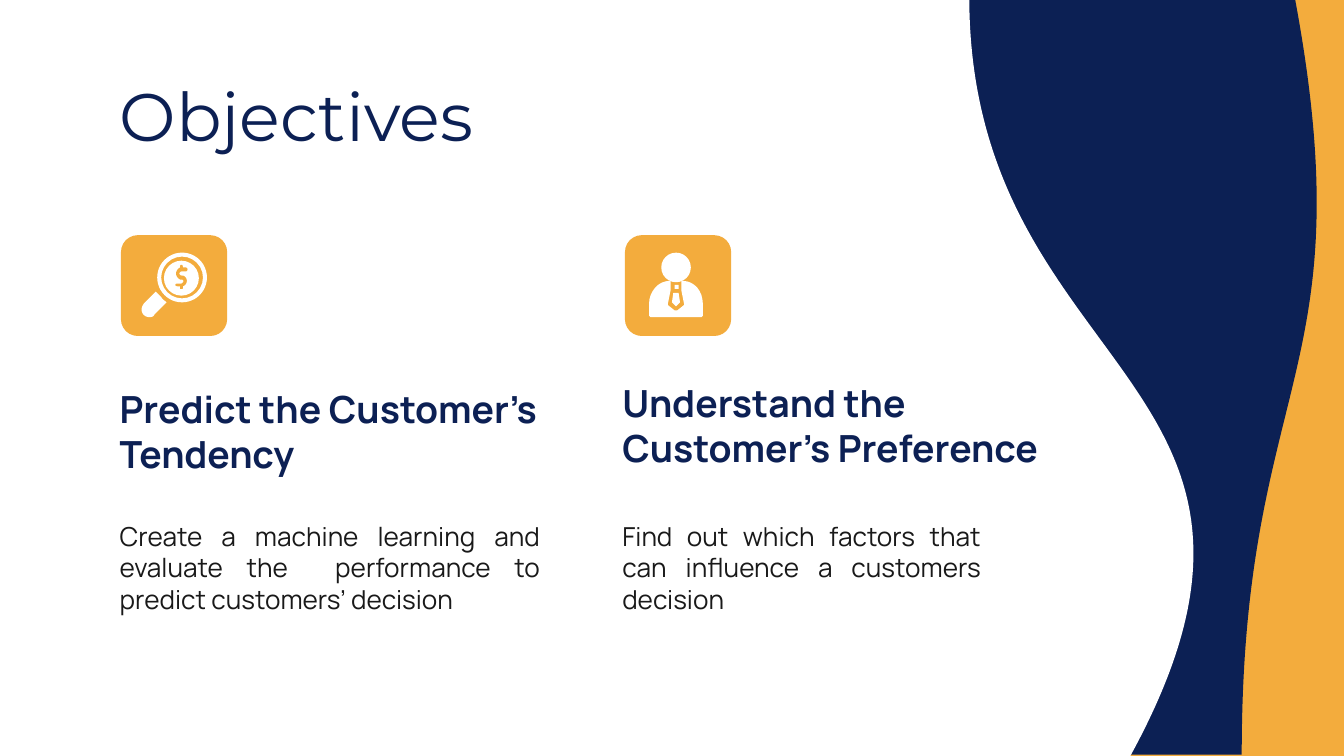
from lxml.etree import SubElement
from pptx import Presentation
from pptx.dml.color import RGBColor as RGB
from pptx.enum.shapes import MSO_SHAPE as Shape
from pptx.enum.text import MSO_ANCHOR as Anchor, MSO_AUTO_SIZE as Fit, PP_ALIGN as Align
from pptx.oxml.ns import qn
from pptx.util import Inches, Pt

HUES = {"navy": "0C2054", "amber": "F3AC3D", "white": "FFFFFF", "ink": "191919"}
GRAIN = 1000  # outline units to the inch

# Outlines: a pair of numbers is a corner, six numbers are a Bezier curve.
BODY = [(4.98, 2.09), (4.9, 2.09, 4.83, 2.17, 4.83, 2.26), (4.83, 2.35),
        (4.84, 2.36), (5.22, 2.36), (5.23, 2.35), (5.23, 2.26),
        (5.23, 2.17, 5.17, 2.09, 5.08, 2.09), (5.07, 2.09), (5.07, 2.16),
        (5.09, 2.26), (5.09, 2.27), (5.04, 2.31), (5.02, 2.31), (4.97, 2.27),
        (4.97, 2.26), (4.99, 2.16), (4.99, 2.09)]
TIE = [(5.01, 2.18), (5, 2.25), (5.03, 2.28), (5.06, 2.25), (5.05, 2.18)]
HANDLE = [(1.16, 2.17), (1.07, 2.26), (1.03, 2.31, 1.07, 2.36, 1.11, 2.36),
          (1.12, 2.36, 1.14, 2.36, 1.15, 2.34), (1.24, 2.25),
          (1.23, 2.24, 1.21, 2.23, 1.2, 2.21), (1.19, 2.2, 1.17, 2.18, 1.16, 2.17)]
DOLLAR = [(1.35, 1.97), (1.36, 1.97, 1.36, 1.98, 1.36, 1.99), (1.38, 1.99),
          (1.4, 1.99, 1.4, 2.02, 1.38, 2.02), (1.35, 2.02),
          (1.33, 2.02, 1.33, 2.05, 1.35, 2.05), (1.36, 2.05),
          (1.4, 2.06, 1.4, 2.12, 1.36, 2.13), (1.36, 2.14),
          (1.36, 2.15, 1.36, 2.15, 1.35, 2.15), (1.34, 2.15, 1.34, 2.15, 1.34, 2.14),
          (1.34, 2.13), (1.32, 2.13), (1.3, 2.13, 1.3, 2.11, 1.32, 2.11), (1.35, 2.11),
          (1.37, 2.1, 1.37, 2.08, 1.35, 2.08), (1.34, 2.08),
          (1.3, 2.06, 1.3, 2.01, 1.34, 1.99), (1.34, 1.98, 1.34, 1.97, 1.35, 1.97)]


def paint(shape, hue):
    shape.shadow.inherit = False
    shape.fill.solid()
    shape.fill.fore_color.rgb = RGB.from_string(HUES[hue])
    shape.line.fill.background()


def add_shape(slide, kind, box, hue):
    shape = slide.shapes.add_shape(kind, *map(Inches, box))
    paint(shape, hue)
    return shape


def add_wave(slide, box, hue, layer, flip=False):
    """Add a sideways wave and put it behind the text."""
    wave = add_shape(slide, Shape.FLOWCHART_DOCUMENT, box, hue)
    wave.rotation = 270
    if flip:
        wave.element.spPr.find(qn("a:xfrm")).set("flipH", "1")
    slide.shapes._spTree.insert(2 + layer, wave.element)


def flatten(steps, count=8):
    """Turn corners and Bezier curves into a list of points."""
    points = []
    for step in steps:
        if len(step) == 2:
            points.append(step)
            continue
        start, ctrl = points[-1], (step[:2], step[2:4], step[4:])
        for i in range(1, count + 1):
            t = i / count
            u = 1 - t
            mix = (u ** 3, 3 * u * u * t, 3 * u * t * t, t ** 3)
            points.append(tuple(sum(m * p[k] for m, p in zip(mix, (start, *ctrl)))
                                for k in (0, 1)))
    return points


def add_outline(slide, steps, hue):
    first, *rest = [(round(x * GRAIN), round(y * GRAIN)) for x, y in flatten(steps)]
    form = slide.shapes.build_freeform(*first, scale=Inches(1) / GRAIN)
    form.add_line_segments(rest, close=True)
    paint(form.convert_to_shape(), hue)


def add_tile(slide, left):
    add_shape(slide, Shape.ROUNDED_RECTANGLE, (left, 1.75, 0.79, 0.75), "amber")


def add_lens(slide):
    add_tile(slide, 0.9)
    ring = add_shape(slide, Shape.DONUT, (1.17, 1.88, 0.37, 0.37), "white")
    ring.adjustments[0] = 0.08
    add_outline(slide, HANDLE, "white")
    add_shape(slide, Shape.OVAL, (1.22, 1.94, 0.26, 0.26), "white")
    add_outline(slide, DOLLAR, "amber")


def add_person(slide):
    add_tile(slide, 4.65)
    add_shape(slide, Shape.OVAL, (4.92, 1.88, 0.22, 0.22), "white")
    add_outline(slide, BODY, "white")
    add_outline(slide, TIE, "white")
    add_shape(slide, Shape.RECTANGLE, (5.02, 2.12, 0.03, 0.03), "white")


def fill_text(holder, box, text, size, face, hue,
              bold=False, align=Align.LEFT, anchor=Anchor.MIDDLE):
    holder.left, holder.top, holder.width, holder.height = map(Inches, box)
    frame = holder.text_frame
    frame.text = text
    frame.word_wrap, frame.auto_size = True, Fit.NONE
    frame.vertical_anchor = anchor
    frame.margin_left = frame.margin_right = Inches(0.1)
    frame.margin_top = frame.margin_bottom = Inches(0.1)
    para = frame.paragraphs[0]
    para.alignment, para.space_before = align, Pt(0)
    props = para._p.get_or_add_pPr()
    props.set("marL", "0")
    props.set("indent", "0")
    SubElement(props, qn("a:buNone"))
    font = para.runs[0].font
    font.size, font.name, font.bold = Pt(size), face, bold
    font.color.rgb = RGB.from_string(HUES[hue])


def main():
    deck = Presentation()
    deck.slide_width, deck.slide_height = Inches(10), Inches(10) * 9 // 16
    slide = deck.slides.add_slide(deck.slide_layouts.get_by_name("Comparison"))
    back = slide.background.fill
    back.solid()
    back.fore_color.rgb = RGB.from_string(HUES["amber"])
    add_wave(slide, (5.52, 1.3, 5.62, 3.01), "navy", 0, flip=True)
    add_wave(slide, (1.66, -1.69, 5.67, 9), "white", 1)

    fill_text(slide.shapes.title, (0.79, 0.59, 6.34, 0.53), "Objectives",
              36, "Montserrat", "navy")
    goals = [
        (0.79, "Predict the Customer’s Tendency", 3.67, 0.88,
         "Create a machine learning and evaluate the  performance to "
         "predict customers’ decision", 3.33),
        (4.53, "Understand the Customer’s Preference", 3.58, 0.78,
         "Find out which factors that can influence a customers decision", 2.87),
    ]
    slots = {item.placeholder_format.idx: item for item in slide.placeholders}
    for i, (left, head, wide, high, body, span) in enumerate(goals):
        fill_text(slots[2 * i + 1], (left, 2.77, wide, high), head,
                  20, "Manrope", "navy", bold=True)
        fill_text(slots[2 * i + 2], (left, 3.77, span, 0.78), body,
                  14, "Manrope", "ink", align=Align.JUSTIFY, anchor=Anchor.TOP)
    add_lens(slide)
    add_person(slide)
    deck.save("out.pptx")


if __name__ == "__main__":
    main()
